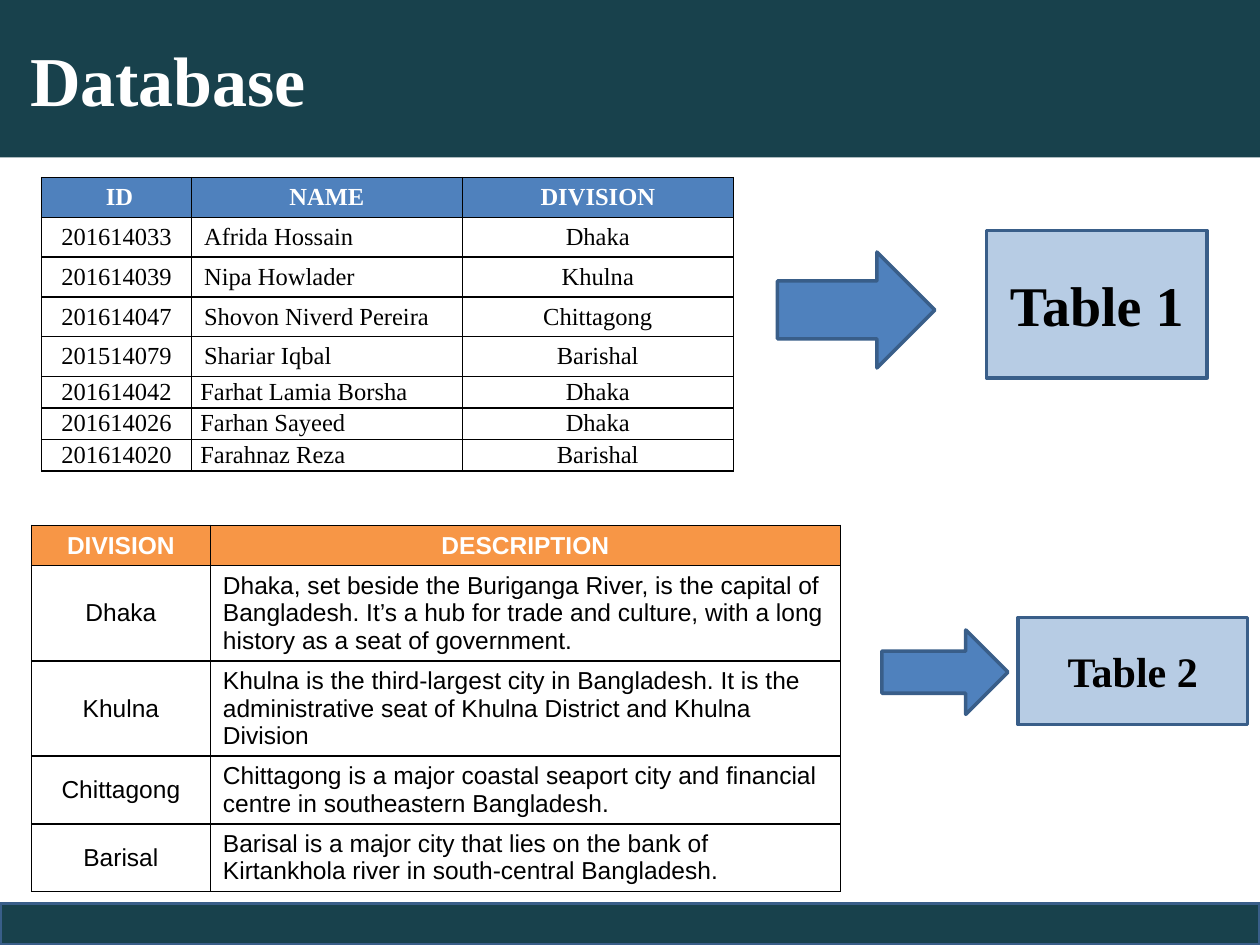
from lxml.etree import SubElement
from pptx import Presentation
from pptx.dml.color import RGBColor
from pptx.enum.shapes import MSO_SHAPE
from pptx.enum.text import MSO_ANCHOR, MSO_AUTO_SIZE, PP_ALIGN
from pptx.oxml.ns import qn
from pptx.util import Inches, Pt

SERIF, SANS = "Times New Roman", "Arial"
DARK, BLUE, PALE, EDGE = "18414C", "4F81BD", "B7CCE4", "395E89"
ORANGE, WHITE, BLACK = "F79646", "FFFFFF", "000000"
PEOPLE = [
    (" ID", "NAME", "DIVISION"),
    ("201614033", "Afrida Hossain", "Dhaka"),
    ("201614039", "Nipa Howlader", "Khulna"),
    ("201614047", "Shovon Niverd Pereira", "Chittagong"),
    ("201514079", "Shariar Iqbal", "Barishal"),
    ("201614042", "Farhat Lamia Borsha", "Dhaka"),
    ("201614026", "Farhan Sayeed", "Dhaka"),
    ("201614020", "Farahnaz Reza", "Barishal"),
]
PLACES = [
    ("DIVISION", "DESCRIPTION"),
    ("Dhaka", "Dhaka, set beside the Buriganga River, is the capital of "
     "Bangladesh. It’s a hub for trade and culture, with a long "
     "history as a seat of government."),
    ("Khulna", "Khulna is the third-largest city in Bangladesh. It is the "
     "administrative seat of Khulna District and Khulna Division"),
    ("Chittagong", "Chittagong is a major coastal seaport city and financial "
     "centre in southeastern Bangladesh."),
    ("Barisal", "Barisal is a major city that lies on the bank of "
     "Kirtankhola river in south-central Bangladesh."),
]


def paint(color, value):
    """Set a colour from a hex string."""
    color.rgb = RGBColor.from_string(value)


def apply(target, values):
    """Set each named attribute on the target."""
    for name, value in values.items():
        setattr(target, name, value)


def write(frame, text, font, size, color, bold=True, align=PP_ALIGN.CENTER):
    """Put one formatted paragraph into a text frame."""
    para = frame.paragraphs[0]
    para.alignment = align
    run = para.add_run()
    run.text = text
    apply(run.font, {"name": font, "size": Pt(size), "bold": bold})
    paint(run.font.color, color)


def place(shape, box):
    """Move and size a shape from lengths in inches."""
    names = ("left", "top", "width", "height")
    apply(shape, dict(zip(names, map(Inches, box))))


def add_title(slide, text):
    """Format the title placeholder as the top band."""
    title = slide.shapes.title
    place(title, (0, 0, 10, 1.25))
    title.fill.solid()
    paint(title.fill.fore_color, DARK)
    frame = title.text_frame
    apply(frame, {"auto_size": MSO_AUTO_SIZE.NONE,
                  "vertical_anchor": MSO_ANCHOR.MIDDLE})
    write(frame, text, SERIF, 40, WHITE, align=PP_ALIGN.LEFT)


def add_block(slide, kind, box, fill):
    """Add an outlined preset shape."""
    shape = slide.shapes.add_shape(kind, *map(Inches, box))
    shape.shadow.inherit = False
    shape.fill.solid()
    paint(shape.fill.fore_color, fill)
    paint(shape.line.color, EDGE)
    shape.line.width = Pt(2)
    return shape


def add_label(slide, box, text, size):
    """Add a pale box with a bold caption."""
    frame = add_block(slide, MSO_SHAPE.RECTANGLE, box, PALE).text_frame
    apply(frame, {"word_wrap": True, "vertical_anchor": MSO_ANCHOR.MIDDLE})
    write(frame, text, SERIF, size, BLACK)


def add_edges(cell):
    """Draw a thin black border on all sides of a cell."""
    props = cell._tc.get_or_add_tcPr()
    for side in ("lnL", "lnR", "lnT", "lnB"):
        line = SubElement(props, qn(f"a:{side}"), w=str(Pt(1)))
        fill = SubElement(line, qn("a:solidFill"))
        SubElement(fill, qn("a:srgbClr"), val=BLACK)


def add_grid(slide, spot, cols, rows, data, font, head, tight=99):
    """Add a table whose rows from index tight on have slim margins."""
    box = (*spot, sum(cols), sum(rows))
    shape = slide.shapes.add_table(len(rows), len(cols), *map(Inches, box))
    table = shape.table
    table.horz_banding = False
    for col, width in zip(table.columns, cols):
        col.width = Inches(width)
    for i, (row, height) in enumerate(zip(table.rows, rows)):
        row.height = Inches(height)
        side, edge = (0.07, 0) if i >= tight else (0.1, 0.05)
        form = {"margin_left": Inches(side), "margin_right": Inches(side),
                "margin_top": Inches(edge), "margin_bottom": Inches(edge),
                "vertical_anchor": MSO_ANCHOR.MIDDLE}
        for j, (cell, text) in enumerate(zip(row.cells, data[i])):
            apply(cell, form)
            add_edges(cell)
            if i == 0:
                cell.fill.solid()
                paint(cell.fill.fore_color, head)
            else:
                cell.fill.background()
            left = i > 0 and j == 1
            write(cell.text_frame, text, font, 14, BLACK if i else WHITE,
                  i == 0, PP_ALIGN.LEFT if left else PP_ALIGN.CENTER)


def main():
    """Build the slide and save it."""
    deck = Presentation()
    apply(deck, {"slide_width": Inches(10), "slide_height": Inches(7.5)})
    slide = deck.slides.add_slide(deck.slide_layouts[5])
    add_block(slide, MSO_SHAPE.RECTANGLE, (0, 7.17, 10, 0.33), DARK)
    add_title(slide, " Database")
    add_grid(slide, (0.33, 1.41), (1.19, 2.15, 2.15),
             [0.31] * 5 + [0.25] * 3, PEOPLE, SERIF, BLUE, 5)
    add_grid(slide, (0.25, 4.17), (1.42, 5),
             [0.31, 0.75, 0.75, 0.53, 0.53], PLACES, SANS, ORANGE)
    add_block(slide, MSO_SHAPE.RIGHT_ARROW, (6.17, 2, 1.25, 0.92), BLUE)
    add_label(slide, (7.83, 1.83, 1.75, 1.17), "Table 1", 32)
    add_block(slide, MSO_SHAPE.RIGHT_ARROW, (7, 5, 1, 0.67), BLUE)
    add_label(slide, (8.08, 4.9, 1.82, 0.85), "Table 2", 24)
    deck.save("out.pptx")


if __name__ == "__main__":
    main()
